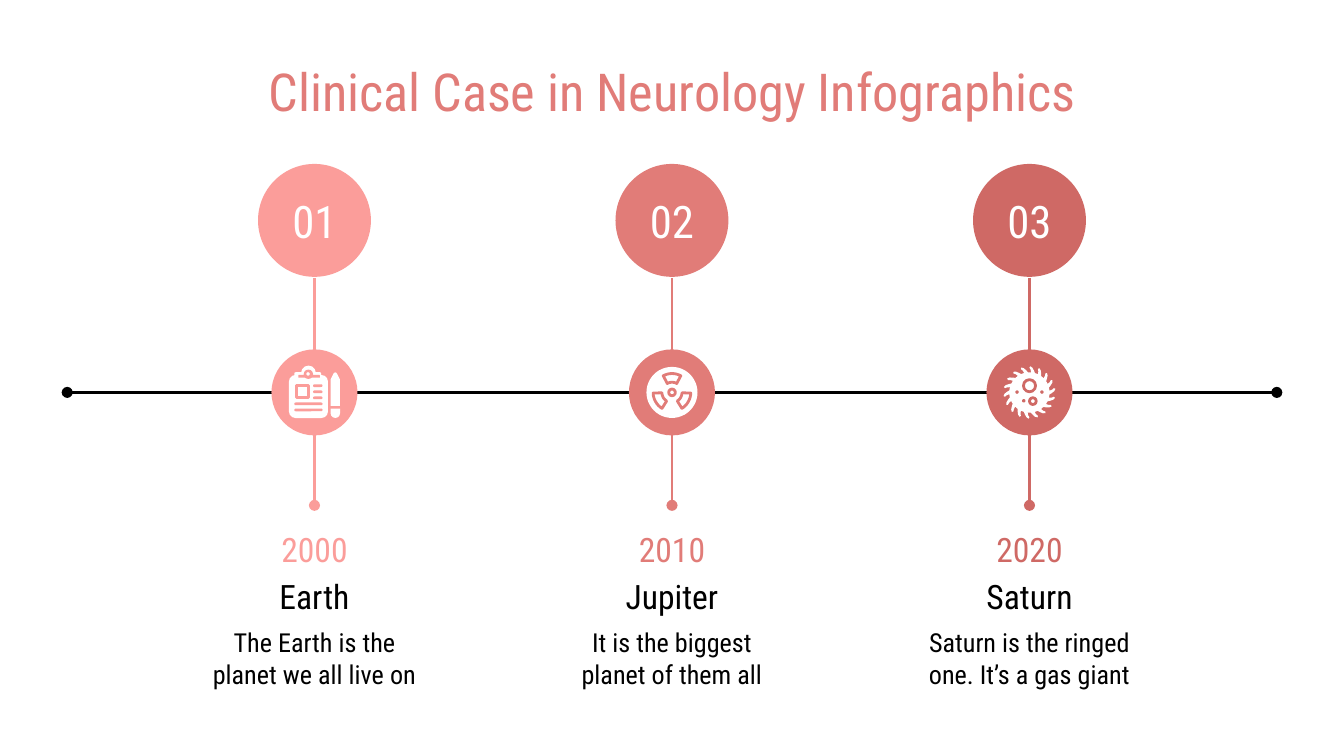
import math
from lxml import etree
from pptx import Presentation
from pptx import util as u
from pptx.dml.color import RGBColor
from pptx.enum import shapes as es, text as et
from pptx.oxml.ns import qn

PX = 4572  # 200 px to the inch
FONT = "Roboto Condensed"
PINK = RGBColor(0xFB, 0x9D, 0x9A)
ROSE = RGBColor(0xE1, 0x7C, 0x78)
RED = RGBColor(0xCF, 0x69, 0x65)
BLACK = RGBColor(0, 0, 0)
WHITE = RGBColor(255, 255, 255)
KIND = es.MSO_SHAPE
OVAL, RECT, ROUND = KIND.OVAL, KIND.RECTANGLE, KIND.ROUNDED_RECTANGLE

deck = Presentation()
deck.slide_width, deck.slide_height = 2000 * PX, 1125 * PX
slide = deck.slides.add_slide(deck.slide_layouts[5])
parts = slide.shapes


def paint(shape, fill, edge=None):
    """Fill a shape, with a thin edge if a colour is given for it."""
    shape.shadow.inherit = False
    shape.fill.solid()
    shape.fill.fore_color.rgb = fill
    if edge is None:
        shape.line.fill.background()
    else:
        shape.line.color.rgb = edge
        shape.line.width = u.Pt(1.5)
    return shape


def write(shape, words, size, color):
    """Put centred text into a shape."""
    frame = shape.text_frame
    frame.text = words
    frame.word_wrap = True
    frame.auto_size = et.MSO_AUTO_SIZE.NONE
    frame.vertical_anchor = et.MSO_ANCHOR.MIDDLE
    frame.margin_left = frame.margin_right = u.Inches(0.1)
    frame.margin_top = frame.margin_bottom = u.Inches(0.1)
    para = frame.paragraphs[0]
    para.alignment = et.PP_ALIGN.CENTER
    font = para.runs[0].font
    font.name, font.size, font.color.rgb = FONT, u.Pt(size), color


# Title
title = parts.title
title.left, title.top, title.width, title.height = [n * PX for n in (100, 92, 1800, 86)]
write(title, "Clinical Case in Neurology Infographics", 28, ROSE)

MID = 584
steps = [
    (468, PINK, "01", "2000", "Earth", "The Earth is the planet we all live on"),
    (1000, ROSE, "02", "2010", "Jupiter", "It is the biggest planet of them all"),
    (1532, RED, "03", "2020", "Saturn", "Saturn is the ringed one. It’s a gas giant"),
]

# Time line and stems with round ends
lines = [(100, MID, 1900, MID, BLACK, ("headEnd", "tailEnd"))]
lines += [(x, 414, x, 752, color, ("tailEnd",)) for x, color, *_ in steps]
for x1, y1, x2, y2, color, ends in lines:
    line = parts.add_connector(es.MSO_CONNECTOR.STRAIGHT, x1 * PX, y1 * PX, x2 * PX, y2 * PX)
    line.line.color.rgb = color
    line.line.width = u.Pt(1.5)
    for end in ends:
        etree.SubElement(line.line._get_or_add_ln(), qn("a:" + end), type="oval")
    etree.SubElement(line._element.spPr, qn("a:effectLst"))

# Steps: number, hub, year, name and note
for x, color, num, year, name, note in steps:
    disc = parts.add_shape(OVAL, (x - 84) * PX, 244 * PX, 168 * PX, 168 * PX)
    write(paint(disc, color), num, 24, WHITE)
    paint(parts.add_shape(OVAL, (x - 64) * PX, (MID - 64) * PX, 128 * PX, 128 * PX), color)
    for words, size, tint, top, wide, high in [
        (year, 18, color, 780, 262, 74),
        (name, 18, BLACK, 850, 262, 74),
        (note, 14, BLACK, 924, 366, 110),
    ]:
        box = parts.add_textbox((x - wide // 2) * PX, top * PX, wide * PX, high * PX)
        write(box, words, size, tint)

# Icon parts that are preset shapes: kind, left, top, width, height, fill, edge
bits = [
    # Clipboard
    (ROUND, 430, 558, 58, 64, WHITE, None),
    (OVAL, 448, 544, 22, 22, WHITE, None),
    (ROUND, 438, 554, 40, 12, WHITE, None),
    (OVAL, 452, 550, 14, 14, PINK, None),
    (KIND.ROUND_2_SAME_RECTANGLE, 444, 558, 32, 4, PINK, None),
    (OVAL, 456, 554, 5, 5, WHITE, None),
    (RECT, 441, 574, 18, 18, WHITE, PINK),
]
bits += [(ROUND, 466, y, 14, 4, PINK, None) for y in (572, 581, 590)]
bits += [(ROUND, 438, y, 42, 4, PINK, None) for y in (599, 608)]
bits += [
    # Disc with a hub
    (OVAL, 962, 546, 76, 76, WHITE, None),
    (OVAL, 995, 579, 10, 10, WHITE, ROSE),
]
for kind, x, y, wide, high, fill, edge in bits:
    bit = paint(parts.add_shape(kind, x * PX, y * PX, wide * PX, high * PX), fill, edge)
    if kind == ROUND and high < 10:
        bit.adjustments[0] = 0.5

# Pencil
end = paint(parts.add_shape(KIND.ROUND_2_SAME_RECTANGLE, 492 * PX, 608 * PX, 14 * PX, 14 * PX), WHITE)
end.adjustments[0] = 0.5
end.rotation = 180
forms = [([(492, 604), (492, 565), (497, 555), (499, 554), (501, 555), (506, 565), (506, 604)],
          WHITE, None)]

# Three blades on the disc, as (radius, angle) points around its centre
for turn in (-90, 30, 150):
    blade = [(28, turn + a) for a in range(-28, 29, 7)]
    blade += [(15, turn + a) for a in range(28, -29, -7)]
    forms.append(([(1000 + r * math.cos(math.radians(a)), MID + r * math.sin(math.radians(a)))
                   for r, a in blade], WHITE, ROSE))

# Saw with 18 leaning teeth
saw = []
for turn in range(0, 360, 20):
    saw += [(30, turn - 5), (34, turn - 7), (37, turn - 10), (39, turn - 8),
            (37, turn - 3), (33, turn + 2), (30, turn + 6)]
forms.append(([(1532 + r * math.cos(math.radians(a)), MID + r * math.sin(math.radians(a)))
               for r, a in saw], WHITE, None))

for dots, fill, edge in forms:
    dots = [(round(x * 10), round(y * 10)) for x, y in dots]
    pen = parts.build_freeform(*dots[0], scale=PX / 10)
    pen.add_line_segments(dots[1:], close=True)
    paint(pen.convert_to_shape(), fill, edge)

# Holes in the saw
for x, y, size, fill, edge in [
    (1523, 565, 18, WHITE, RED), (1532, 592, 10, WHITE, RED),
    (1511, 581, 5, RED, None), (1548, 581, 5, RED, None), (1521, 594, 5, RED, None),
]:
    paint(parts.add_shape(OVAL, x * PX, y * PX, size * PX, size * PX), fill, edge)

deck.save("out.pptx")
